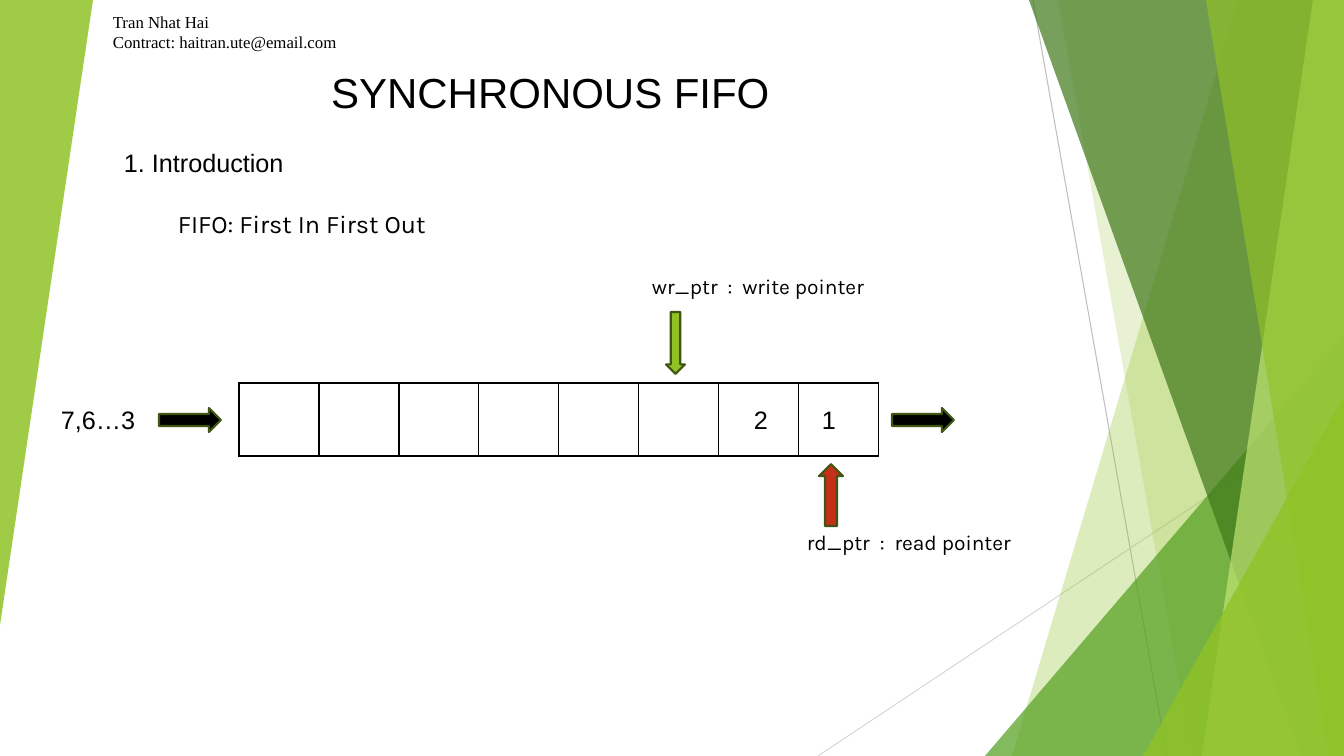
import pptx
import pptx.dml.color
import pptx.enum.shapes
import pptx.enum.text
import pptx.oxml
import pptx.oxml.ns
import pptx.util

SHAPES = pptx.enum.shapes.MSO_SHAPE
ALIGN = pptx.enum.text.PP_ALIGN
EMU_PER_PX = 914400 / 100.8
WIDTH, HEIGHT = 1344, 756
LIME, GREEN, DARK_GREEN, PALE_LIME = "90C226", "54A021", "3F7819", "C0E474"
RED, BLACK, ARROW_EDGE = "C42F1A", "000000", "3F5511"


def px(length):
    return pptx.util.Emu(round(length * EMU_PER_PX))


def box(*lengths):
    return [px(length) for length in lengths]


def rgb(color):
    return pptx.dml.color.RGBColor.from_string(color)


def drawing_element(parent, tag, **attributes):
    element = pptx.oxml.parse_xml(f"<a:{tag} {pptx.oxml.ns.nsdecls('a')}/>")
    for name, value in attributes.items():
        element.set(name, str(value))
    parent.append(element)
    return element


def paint(shape, color, opacity=100):
    """Fill a shape, in percent opacity, with neither outline nor shadow."""
    shape.shadow.inherit = False
    shape.fill.solid()
    shape.fill.fore_color.rgb = rgb(color)
    shape.line.fill.background()
    if opacity < 100:
        color_element = shape.fill._xPr.find(".//" + pptx.oxml.ns.qn("a:srgbClr"))
        drawing_element(color_element, "alpha", val=opacity * 1000)


def add_line(slide, start, end, color):
    line = slide.shapes.add_connector(
        pptx.enum.shapes.MSO_CONNECTOR.STRAIGHT, *box(*start, *end))
    line.line.color.rgb = rgb(color)
    line.line.width = pptx.util.Pt(0.75)
    drawing_element(line._element.spPr, "effectLst")


def add_facet(slide, top_x, bottom_x, color, opacity):
    """Draw a full-height panel from a slanted left edge to the slide's right edge."""
    builder = slide.shapes.build_freeform(top_x, 0, scale=EMU_PER_PX)
    builder.add_line_segments([(WIDTH, 0), (WIDTH, HEIGHT), (bottom_x, HEIGHT)])
    paint(builder.convert_to_shape(), color, opacity)


def add_corner_triangle(slide, bounds, color, opacity, rotation=0):
    triangle = slide.shapes.add_shape(SHAPES.ISOSCELES_TRIANGLE, *box(*bounds))
    triangle.adjustments[0] = 1
    triangle.rotation = rotation
    paint(triangle, color, opacity)


def add_arrow(slide, bounds, color, rotation=0):
    arrow = slide.shapes.add_shape(SHAPES.DOWN_ARROW, *box(*bounds))
    arrow.rotation = rotation
    paint(arrow, color)
    arrow.line.color.rgb = rgb(ARROW_EDGE)
    arrow.line.width = pptx.util.Pt(1.5)


def write_text(shape, text, size=18, font="Arial", align=ALIGN.LEFT):
    frame = shape.text_frame
    frame.text = text
    frame.word_wrap = True
    frame.auto_size = pptx.enum.text.MSO_AUTO_SIZE.SHAPE_TO_FIT_TEXT
    frame.vertical_anchor = pptx.enum.text.MSO_ANCHOR.TOP
    for paragraph in frame.paragraphs:
        paragraph.alignment = align
        for run in paragraph.runs:
            run.font.size = pptx.util.Pt(size)
            run.font.name = font
            run.font.color.rgb = rgb(BLACK)


def add_text(slide, bounds, text, **text_format):
    write_text(slide.shapes.add_textbox(*box(*bounds)), text, **text_format)


def add_title(slide, bounds, text, **text_format):
    title = slide.shapes.title
    title.left, title.top, title.width, title.height = box(*bounds)
    write_text(title, text, **text_format)


def border_cell(cell):
    properties = cell._tc.get_or_add_tcPr()
    for side in ("lnL", "lnR", "lnT", "lnB"):
        border = drawing_element(properties, side, w=pptx.util.Pt(1))
        fill = drawing_element(border, "solidFill")
        drawing_element(fill, "srgbClr", val=BLACK)
    cell.fill.background()


def add_fifo_cells(slide, left, top, cell_width, cell_height, count):
    table = slide.shapes.add_table(
        1, count, *box(left, top, cell_width * count, cell_height)).table
    table.first_row = table.horz_banding = False
    for column in table.columns:
        column.width = px(cell_width)
    for cell in table.iter_cells():
        border_cell(cell)


def add_background(slide):
    add_line(slide, (1033, 0), (1167, HEIGHT), "BFBFBF")
    add_line(slide, (WIDTH, 406), (818, HEIGHT), "D9D9D9")
    add_facet(slide, 1238, 1012, LIME, 30)
    add_facet(slide, 1058, 1192, LIME, 20)
    add_corner_triangle(slide, (985, 336, 359, 420), GREEN, 72)
    add_facet(slide, 1029, 1301, DARK_GREEN, 70)
    add_facet(slide, 1313, 1202, PALE_LIME, 70)
    add_facet(slide, 1206, 1329, LIME, 65)
    add_corner_triangle(slide, (1143, 396, 201, 360), LIME, 80)
    add_corner_triangle(slide, (0, 0, 93, 625), LIME, 85, rotation=180)


def add_fifo_diagram(slide):
    add_fifo_cells(slide, 239, 383, 80, 73, 8)
    add_arrow(slide, (666, 312, 19, 62), LIME)
    add_arrow(slide, (819, 464, 24, 62), RED, rotation=180)
    for left in (178, 911):
        add_arrow(slide, (left, 389, 24, 62), BLACK, rotation=270)
    add_text(slide, (642, 269, 245, 35), "wr_ptr  :  write pointer", size=15, font="Karla")
    add_text(slide, (797, 525, 265, 35), "rd_ptr  :  read pointer", size=15, font="Karla")
    for left, width, value in ((812, 37, "1"), (744, 33, "2"), (51, 110, "7,6…3")):
        add_text(slide, (left, 399, width, 40), value)


def main():
    presentation = pptx.Presentation()
    presentation.slide_width, presentation.slide_height = box(WIDTH, HEIGHT)
    slide = presentation.slides.add_slide(presentation.slide_layouts[5])
    add_background(slide)
    add_title(slide, (220, 61, 661, 61), "SYNCHRONOUS FIFO", size=30, align=ALIGN.CENTER)
    add_text(slide, (114, 142, 194, 40), "1. Introduction")
    add_text(slide, (168, 203, 550, 40), "FIFO: First In First Out", font="Karla")
    add_fifo_diagram(slide)
    add_text(slide, (103, 7, 275, 50),
             "Tran Nhat Hai\nContract: haitran.ute@email.com",
             size=12, font="Times New Roman")
    presentation.save("out.pptx")


if __name__ == "__main__":
    main()
